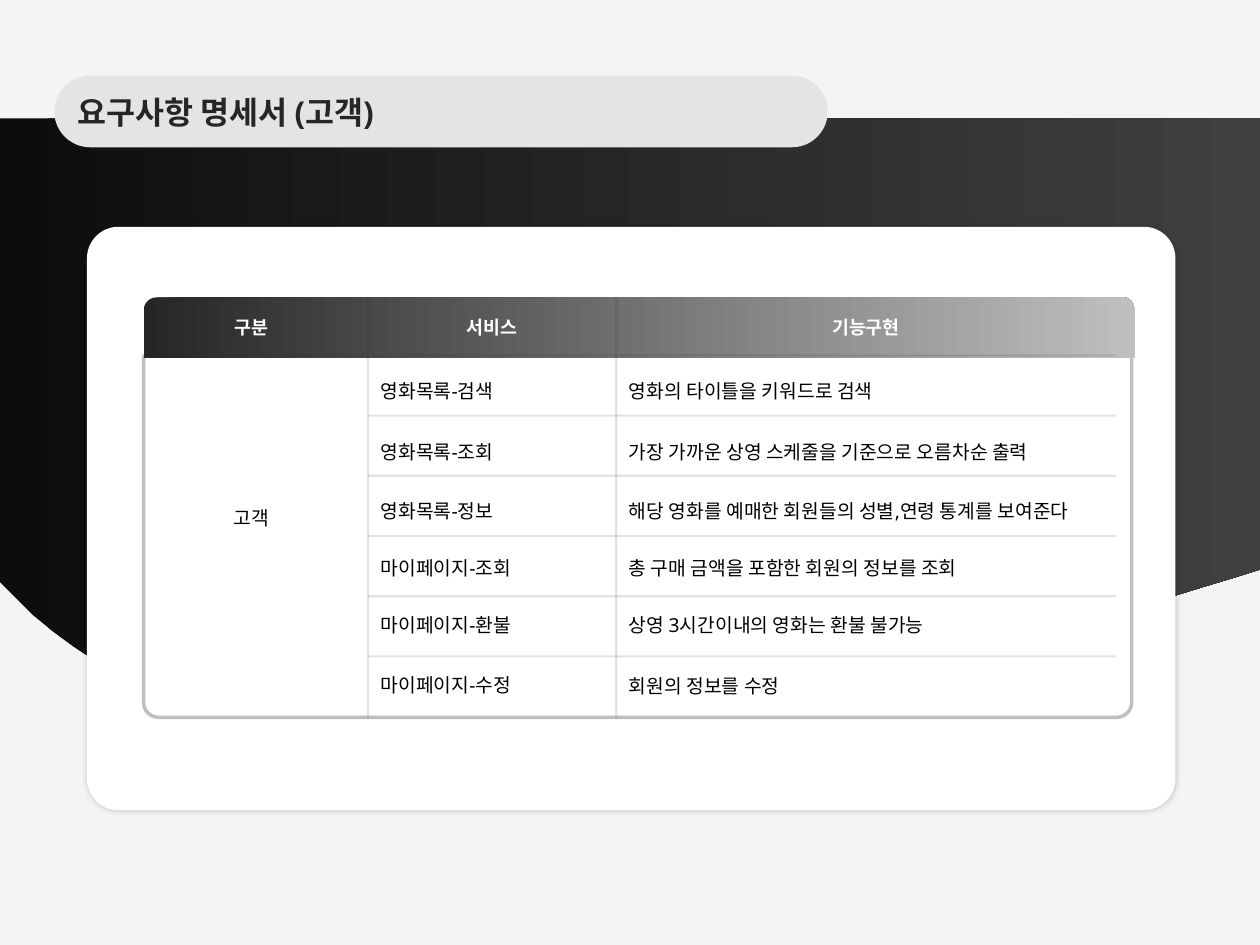
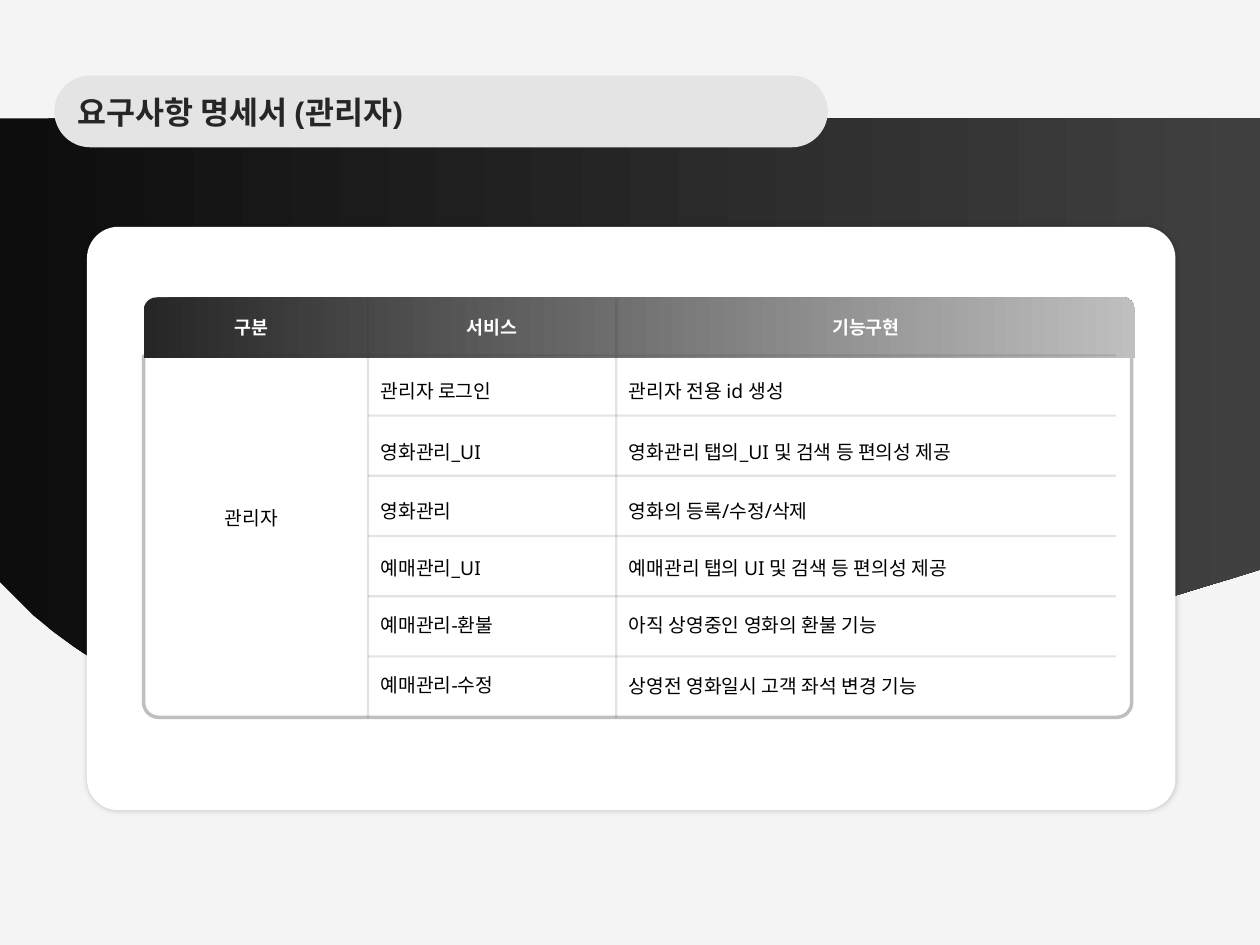
from lxml import etree
from pptx import Presentation
from pptx.dml.color import RGBColor
from pptx.enum.shapes import MSO_CONNECTOR, MSO_SHAPE
from pptx.enum.text import MSO_ANCHOR, MSO_AUTO_SIZE, PP_ALIGN
from pptx.oxml.ns import qn
from pptx.util import Pt

ROUNDED = MSO_SHAPE.ROUNDED_RECTANGLE
ROUNDED_PAIR = MSO_SHAPE.ROUND_2_SAME_RECTANGLE
STRAIGHT = MSO_CONNECTOR.STRAIGHT
LEFT, CENTER = PP_ALIGN.LEFT, PP_ALIGN.CENTER
MIDDLE = MSO_ANCHOR.MIDDLE
NO_AUTOSIZE = MSO_AUTO_SIZE.NONE

LATIN_FONT, KOREAN_FONT = "Noto Sans", "Noto Sans CJK KR"
PAPER, PILL, WHITE, BLACK = "F4F4F4", "E4E4E4", "FFFFFF", "000000"
CHARCOAL, SILVER, RULE = "262626", "BFBFBF", "2B2A2A"
WAVE_GRADIENT = ("0D0D0D", "404040")
PLAIN_TABLE_STYLE = "{2D5ABB26-0587-4C30-8999-92F81FD0307C}"

# Boxes: left, top, width, height in points
WAVE_BOX = (0, 67.7, 720, 366.5)
TITLE_BOX = (31, 43.2, 442, 41)
CARD_BOX = (49.7, 129.6, 622, 333.4)
TABLE_BOX = (82.1, 169.9, 566.6, 240)
HEADER_HEIGHT = 33.6
COLUMN_WIDTHS = (128.2, 141.9, 285.5)
TEXT_DROPS = (4, 5, 4, 0, -3, -3)

COLUMNS = ("구분", "서비스", "기능구현")
SECTIONS = {
    "고객": [
        ("영화목록-검색", "영화의 타이틀을 키워드로 검색"),
        ("영화목록-조회", "가장 가까운 상영 스케줄을 기준으로 오름차순 출력"),
        ("영화목록-정보", "해당 영화를 예매한 회원들의 성별,연령 통계를 보여준다"),
        ("마이페이지-조회", "총 구매 금액을 포함한 회원의 정보를 조회"),
        ("마이페이지-환불", "상영 3시간이내의 영화는 환불 불가능"),
        ("마이페이지-수정", "회원의 정보를 수정"),
    ],
    "관리자": [
        ("관리자 로그인", "관리자 전용 id 생성"),
        ("영화관리_UI", "영화관리 탭의_UI 및 검색 등 편의성 제공"),
        ("영화관리", "영화의 등록/수정/삭제"),
        ("예매관리_UI", "예매관리 탭의 UI 및 검색 등 편의성 제공"),
        ("예매관리-환불", "아직 상영중인 영화의 환불 기능"),
        ("예매관리-수정", "상영전 영화일시 고객 좌석 변경 기능"),
    ],
}


def rgb(color):
    return RGBColor.from_string(color)


def paint_gradient(shape, colors):
    """Fill from left to right with two colours."""
    shape.fill.gradient()
    shape.fill.gradient_angle = 0
    for position, (stop, color) in enumerate(zip(shape.fill.gradient_stops, colors)):
        stop.position = position
        stop.color.rgb = rgb(color)
    shape.line.fill.background()
    shape.shadow.inherit = False


def add_panel(slide, kind, box, adjustments, color=WHITE):
    panel = slide.shapes.add_shape(kind, *map(Pt, box))
    for index, value in enumerate(adjustments):
        panel.adjustments[index] = value
    panel.fill.solid()
    panel.fill.fore_color.rgb = rgb(color)
    panel.line.fill.background()
    panel.shadow.inherit = False
    return panel


def write(frame, text, size, color, bold=False, align=LEFT):
    frame.word_wrap = True
    paragraph = frame.paragraphs[0]
    paragraph.alignment = align
    run = paragraph.add_run()
    run.text = text
    run.font.name = LATIN_FONT
    run.font.size = Pt(size)
    run.font.bold = bold
    run.font.color.rgb = rgb(color)
    etree.SubElement(run.font._element, qn("a:ea"), typeface=KOREAN_FONT)


def bezier(start, first, second, end, steps=24):
    """Points along a cubic curve, without its start."""
    points = []
    for step in range(1, steps + 1):
        t = step / steps
        weights = ((1 - t) ** 3, 3 * t * (1 - t) ** 2, 3 * t * t * (1 - t), t ** 3)
        points.append(tuple(
            sum(w * v for w, v in zip(weights, axis))
            for axis in zip(start, first, second, end)))
    return points


def add_wave(slide, box):
    left, top, width, _ = box
    shoulder, trough, rise = (703.4, 263), (358.6, 360), (18.7, 283.7)
    outline = [
        (width, 0), (width, 257.8), shoulder,
        *bezier(shoulder, (589, 296.6), (476.6, 343.4), trough),
        *bezier(trough, (239.8, 377.3), (109.4, 361.4), rise),
        (7.2, 272.2), (0, 265),
    ]
    builder = slide.shapes.build_freeform(Pt(left), Pt(top))
    builder.add_line_segments(
        [(Pt(left + x), Pt(top + y)) for x, y in outline], close=True)
    paint_gradient(builder.convert_to_shape(), WAVE_GRADIENT)


def add_card(slide, box):
    card = add_panel(slide, ROUNDED, box, [0.054])
    effects = card._element.spPr.find(qn("a:effectLst"))
    shadow = etree.SubElement(
        effects, qn("a:outerShdw"), blurRad=str(Pt(3)), dist=str(Pt(1)),
        dir="2700000", algn="tl", rotWithShape="0")
    tint = etree.SubElement(shadow, qn("a:srgbClr"), val=BLACK)
    etree.SubElement(tint, qn("a:alpha"), val="20000")


def set_title(slide, text, box):
    """Draw the pill and bring the title placeholder in front of it."""
    add_panel(slide, ROUNDED, box, [0.5], PILL)
    title = slide.shapes.title
    title.left, title.top, title.width, title.height = map(Pt, box)
    frame = title.text_frame
    frame.auto_size = NO_AUTOSIZE
    frame.vertical_anchor = MIDDLE
    frame.margin_left = Pt(13.2)
    write(frame, text, 18, CHARCOAL, bold=True)
    slide.shapes._spTree.append(title._element)


def add_rule(slide, start, end):
    """Draw a faint translucent line."""
    rule = slide.shapes.add_connector(STRAIGHT, *map(Pt, (*start, *end)))
    rule.line.color.rgb = rgb(RULE)
    rule.line.width = Pt(1.25)
    properties = rule._element.spPr
    tint = properties.find(f".//{qn('a:srgbClr')}")
    etree.SubElement(tint, qn("a:alpha"), val="12000")
    etree.SubElement(properties, qn("a:effectLst"))


def add_rules(slide, row_count, box):
    left, top, _, height = box
    divider = left + COLUMN_WIDTHS[0]
    right = left + sum(COLUMN_WIDTHS)
    for x in (divider + COLUMN_WIDTHS[1], divider):
        add_rule(slide, (x, top + 0.7), (x, top + height + 0.5))
    pitch = (height - HEADER_HEIGHT) / row_count
    for row in range(row_count):
        y = top + HEADER_HEIGHT - 0.4 + row * pitch
        add_rule(slide, (divider if row else left, y), (right, y))


def format_cell(cell, column, drop):
    """Clear the cell and shift its text down, or up if drop is negative."""
    cell.fill.background()
    cell.vertical_anchor = MIDDLE
    cell.margin_left = Pt(7.2 if column else 0)
    cell.margin_right = Pt(0 if column else 5)
    cell.margin_top = Pt(max(drop, 0))
    cell.margin_bottom = Pt(max(-drop, 0))


def add_requirements(slide, role, services, box):
    left, top, width, height = box
    body_height = height - HEADER_HEIGHT
    frame = add_panel(
        slide, ROUNDED_PAIR, (left, top + HEADER_HEIGHT, width - 2, body_height), [0, 0.041])
    frame.line.color.rgb = rgb(SILVER)
    frame.line.width = Pt(2)
    header = add_panel(
        slide, ROUNDED_PAIR, (left, top, width, HEADER_HEIGHT + 1), [0.214, 0])
    paint_gradient(header, (CHARCOAL, SILVER))
    add_rules(slide, len(services), box)

    table = slide.shapes.add_table(
        len(services) + 1, len(COLUMNS), Pt(left), Pt(top),
        Pt(sum(COLUMN_WIDTHS)), Pt(height)).table
    table.first_row = table.horz_banding = False
    table._tbl.tblPr.find(qn("a:tableStyleId")).text = PLAIN_TABLE_STYLE
    for column, column_width in enumerate(COLUMN_WIDTHS):
        table.columns[column].width = Pt(column_width)
    for index, (row, drop) in enumerate(zip(table.rows, (0, *TEXT_DROPS))):
        row.height = Pt(body_height / len(services) if index else HEADER_HEIGHT)
        for column, cell in enumerate(row.cells):
            format_cell(cell, column, drop)

    for column, label in enumerate(COLUMNS):
        cell = table.cell(0, column)
        cell.margin_left = 0
        write(cell.text_frame, label, 10.5, WHITE, True, CENTER)
    role_cell = table.cell(1, 0)
    role_cell.merge(table.cell(len(services), 0))
    format_cell(role_cell, 0, -22)
    write(role_cell.text_frame, role, 11, BLACK, align=CENTER)
    for row, texts in enumerate(services, 1):
        for column, text in enumerate(texts, 1):
            write(table.cell(row, column).text_frame, text, 11, BLACK)


def add_requirements_slide(prs, role, services):
    slide = prs.slides.add_slide(prs.slide_layouts[5])
    add_wave(slide, WAVE_BOX)
    add_card(slide, CARD_BOX)
    add_requirements(slide, role, services, TABLE_BOX)
    set_title(slide, f"요구사항 명세서 ({role})", TITLE_BOX)


def main():
    prs = Presentation()
    prs.slide_width, prs.slide_height = Pt(720), Pt(540)
    background = prs.slide_master.background.fill
    background.solid()
    background.fore_color.rgb = rgb(PAPER)
    for role, services in SECTIONS.items():
        add_requirements_slide(prs, role, services)
    prs.save("out.pptx")


if __name__ == "__main__":
    main()
